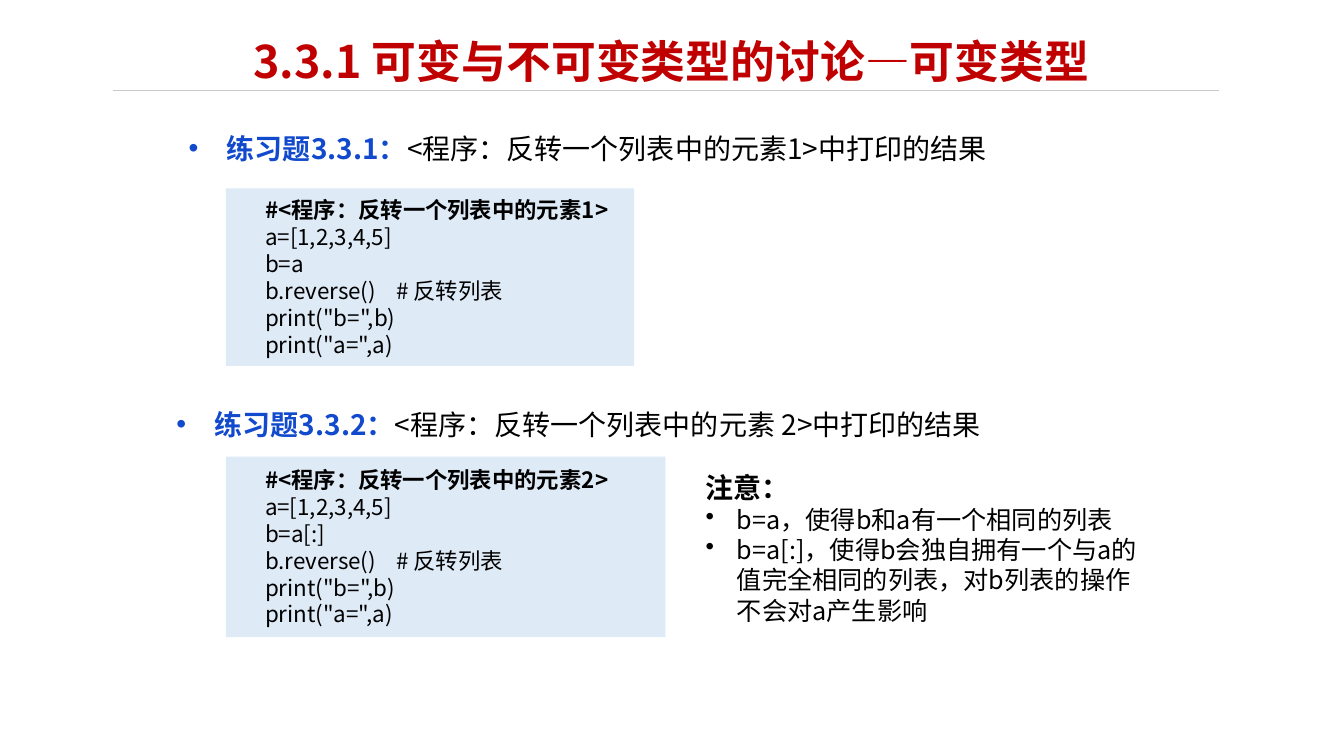
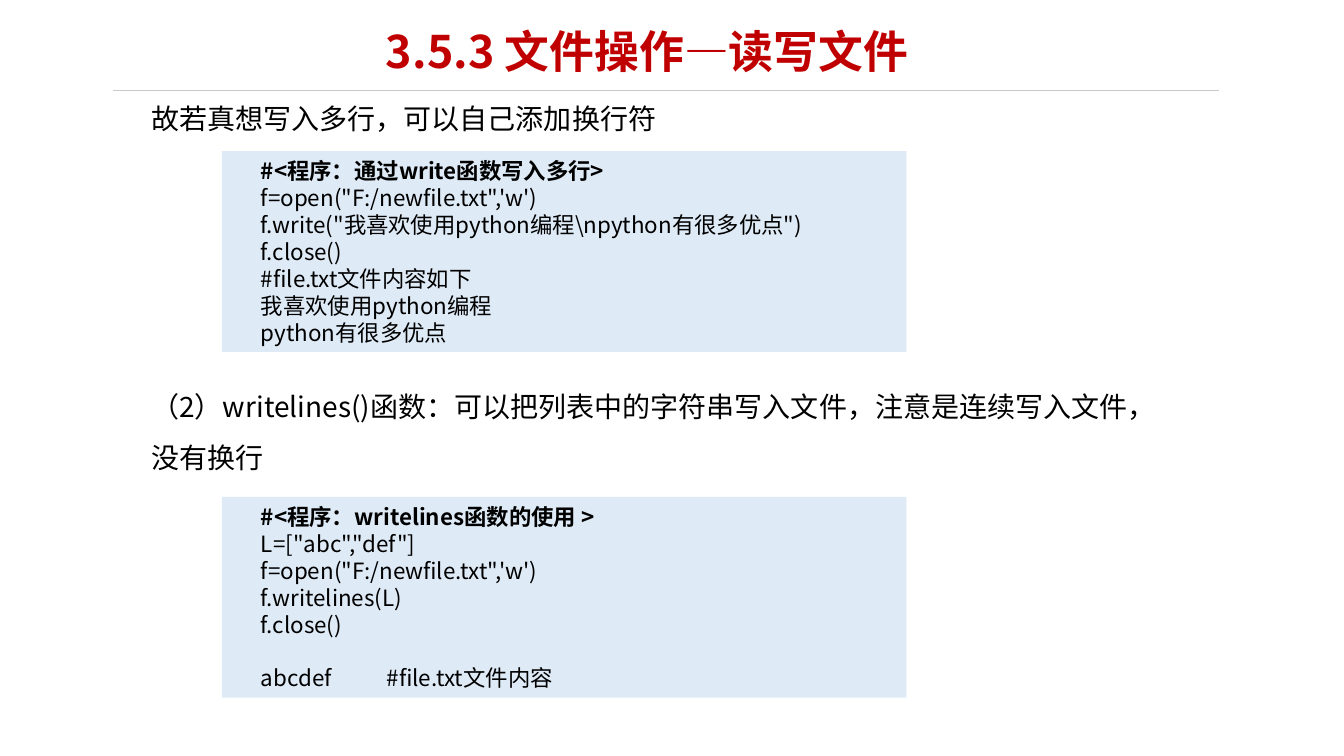
from lxml.etree import SubElement
from pptx import Presentation
from pptx.dml.color import RGBColor
from pptx.enum.shapes import MSO_CONNECTOR, MSO_SHAPE
from pptx.enum.text import MSO_ANCHOR, MSO_AUTO_SIZE, PP_ALIGN
from pptx.oxml.ns import qn
from pptx.util import Inches, Pt

FONT = "Noto Sans CJK SC"
RED, BLUE, BLACK = "C00000", "124ACD", "000000"
PANEL, RULE = "DEEAF6", "C9C9C9"
TITLE_SIZE, BODY_SIZE, NOTE_SIZE, CODE_SIZE = 32, 20, 18, 16
LINE_RATIO = 1.2  # height of a single line relative to the text size


def rgb(color):
    return RGBColor.from_string(color)


def add_text(paragraph, text, size=BODY_SIZE, color=BLACK, bold=False):
    run = paragraph.add_run()
    run.text = text
    run.font.size = Pt(size)
    run.font.bold = bold
    run.font.color.rgb = rgb(color)
    run.font.name = FONT
    SubElement(run._r.get_or_add_rPr(), qn("a:ea"), typeface=FONT)


def format_paragraph(paragraph, size=BODY_SIZE, spacing=1, align=PP_ALIGN.LEFT,
                     margin=0, indent=0, bullet=None, before=0):
    properties = paragraph._p.get_or_add_pPr()
    properties.set("marL", str(Inches(margin)))
    properties.set("indent", str(Inches(indent)))
    if bullet:
        SubElement(properties, qn("a:buChar"), char=bullet)
    else:
        SubElement(properties, qn("a:buNone"))
    paragraph.alignment = align
    paragraph.line_spacing = Pt(round(size * LINE_RATIO * spacing, 1))
    paragraph.space_before = Pt(before)
    return paragraph


def place(shape, box, anchor=MSO_ANCHOR.TOP):
    """Move a text shape to its box and return its text frame."""
    shape.left, shape.top, shape.width, shape.height = map(Inches, box)
    frame = shape.text_frame
    frame.word_wrap = True
    frame.auto_size = MSO_AUTO_SIZE.NONE
    frame.vertical_anchor = anchor
    return frame


def next_paragraph(frame, index):
    return frame.add_paragraph() if index else frame.paragraphs[0]


def fill_title(slide, text, left, top):
    frame = place(slide.shapes.title, (left, top, 8.62, 0.71))
    heading = format_paragraph(frame.paragraphs[0], TITLE_SIZE, spacing=0.9,
                               align=PP_ALIGN.CENTER)
    add_text(heading, text, TITLE_SIZE, RED, bold=True)


def fill_exercise(placeholder, box, label, question):
    frame = place(placeholder, box)
    exercise = format_paragraph(frame.paragraphs[0], margin=0.38,
                                indent=-0.38, bullet="•")
    add_text(exercise, label, color=BLUE, bold=True)
    add_text(exercise, question)


def fill_statement(placeholder, box, text, spacing=1):
    frame = place(placeholder, box)
    add_text(format_paragraph(frame.paragraphs[0], spacing=spacing), text)


def add_code(slide, box, lines, result=None):
    """Code panel with a bold first line; a result stands one line apart."""
    panel = slide.shapes.add_shape(MSO_SHAPE.RECTANGLE, *map(Inches, box))
    panel.shadow.inherit = False
    panel.fill.solid()
    panel.fill.fore_color.rgb = rgb(PANEL)
    panel.line.fill.background()
    frame = place(panel, box, MSO_ANCHOR.MIDDLE)
    for index, line in enumerate(lines + ([result] if result else [])):
        gap = CODE_SIZE * LINE_RATIO if index == len(lines) else 0
        paragraph = format_paragraph(next_paragraph(frame, index), CODE_SIZE,
                                     align=PP_ALIGN.JUSTIFY, indent=0.29,
                                     before=gap)
        add_text(paragraph, line, CODE_SIZE, bold=index == 0)


def add_remarks(slide, box, heading, remarks):
    frame = place(slide.shapes.add_textbox(*map(Inches, box)), box)
    add_text(format_paragraph(frame.paragraphs[0]), heading, bold=True)
    for remark in remarks:
        paragraph = format_paragraph(frame.add_paragraph(), NOTE_SIZE,
                                     margin=0.31, indent=-0.31, bullet="•")
        add_text(paragraph, remark, NOTE_SIZE)


def add_layout_rule(slide):
    """Draw the line under the title and hand it to the shared layout."""
    rule = slide.shapes.add_connector(MSO_CONNECTOR.STRAIGHT, Inches(1.12),
                                      Inches(0.9), Inches(12.09), Inches(0.9))
    rule.line.color.rgb = rgb(RULE)
    rule.line.width = Pt(1)
    SubElement(rule.element.spPr, qn("a:effectLst"))
    slide.slide_layout.shapes.element.append(rule.element)


def build_mutable_types(slide):
    fill_title(slide, "3.3.1 可变与不可变类型的讨论—可变类型", 2.35, 0.34)
    first, second = slide.placeholders[1], slide.placeholders[2]

    # Exercises, each followed by its program
    fill_exercise(first, (1.77, 1.25, 9.21, 0.44), "练习题3.3.1：",
                  "<程序：反转一个列表中的元素1>中打印的结果")
    fill_exercise(second, (1.65, 3.99, 9.21, 0.44), "练习题3.3.2：",
                  "<程序：反转一个列表中的元素 2>中打印的结果")
    programs = [("1", "b=a", (2.24, 1.87, 4.05, 1.76)),
                ("2", "b=a[:]", (2.24, 4.53, 4.36, 1.79))]
    for number, assignment, box in programs:
        add_code(slide, box, [
            f"#<程序：反转一个列表中的元素{number}>",
            "a=[1,2,3,4,5]",
            assignment,
            "b.reverse()    # 反转列表",
            'print("b=",b)',
            'print("a=",a)',
        ])

    # Remarks beside the second program
    add_remarks(slide, (6.9, 4.62, 4.53, 1.9), "注意：", [
        "b=a，使得b和a有一个相同的列表",
        "b=a[:]，使得b会独自拥有一个与a的值完全相同的列表，对b列表的操作不会对a产生影响",
    ])


def build_file_writing(slide):
    fill_title(slide, "3.5.3 文件操作—读写文件", 2.11, 0.24)
    first, second = slide.placeholders[1], slide.placeholders[2]
    open_line = "f=open(\"F:/newfile.txt\",'w')"

    # Writing several lines with write
    fill_statement(first, (1.4, 0.96, 10.35, 0.44),
                   "故若真想写入多行，可以自己添加换行符")
    add_code(slide, (2.2, 1.5, 6.79, 1.99), [
        "#<程序：通过write函数写入多行>",
        open_line,
        'f.write("我喜欢使用python编程\\npython有很多优点")',
        "f.close()",
        "#file.txt文件内容如下",
        "我喜欢使用python编程",
        "python有很多优点",
    ])

    # Writing a list with writelines
    fill_statement(second, (1.4, 3.65, 10.35, 1.1),
                   "（2）writelines()函数：可以把列表中的字符串写入文件，"
                   "注意是连续写入文件，没有换行", spacing=1.5)
    add_code(slide, (2.2, 4.93, 6.79, 1.99), [
        "#<程序：writelines函数的使用 >",
        'L=["abc","def"]',
        open_line,
        "f.writelines(L)",
        "f.close()",
    ], result="abcdef           #file.txt文件内容")


def main():
    deck = Presentation()
    deck.slide_width, deck.slide_height = Inches(13.33), Inches(7.5)
    layout = deck.slide_layouts.get_by_name("Two Content")
    slides = [deck.slides.add_slide(layout) for _ in range(2)]
    add_layout_rule(slides[0])
    build_mutable_types(slides[0])
    build_file_writing(slides[1])
    deck.save("out.pptx")


if __name__ == "__main__":
    main()
